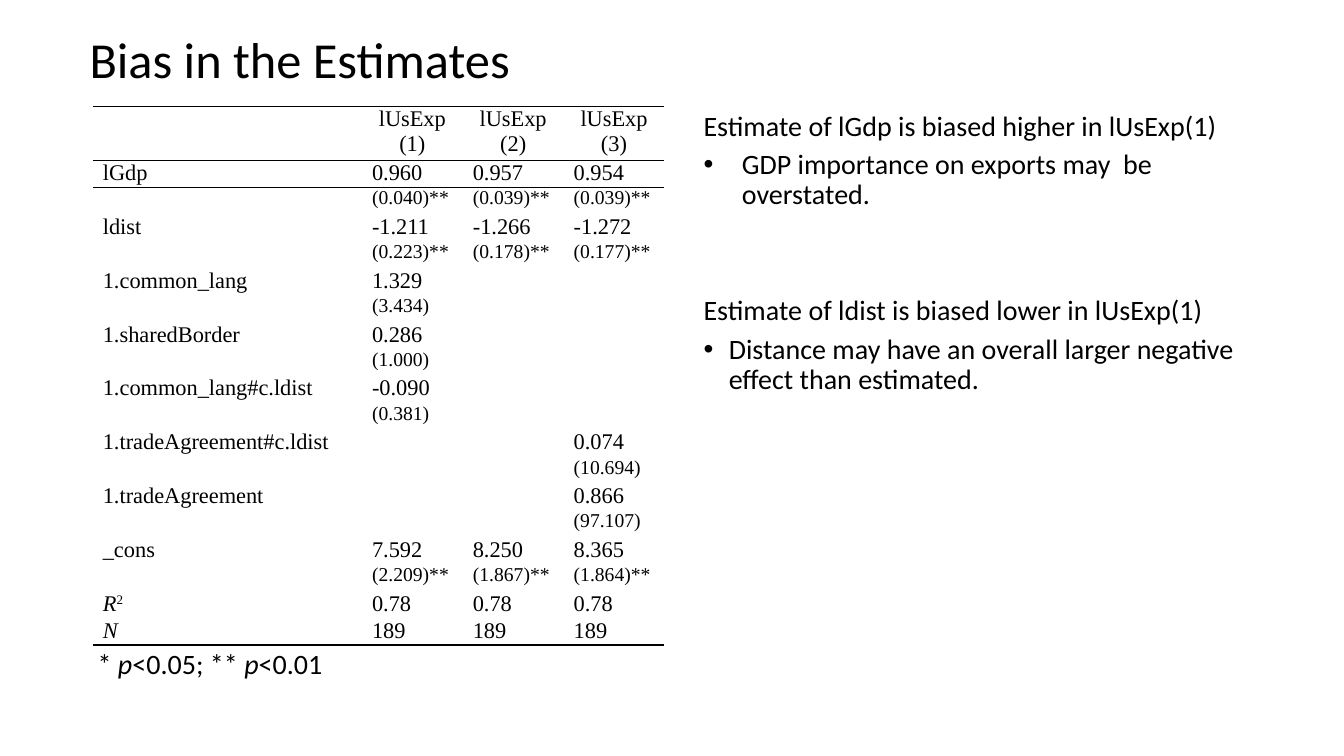
from lxml import etree
from pptx import Presentation
from pptx.dml.color import RGBColor
from pptx.enum import text as t
from pptx.oxml import ns
from pptx.util import Inches, Pt

BLACK = RGBColor(0, 0, 0)
BODY_FONT, TABLE_FONT = "Calibri", "Times New Roman"
NO_STYLE = "{2D5ABB26-0587-4C30-8999-92F81FD0307C}"
COLUMN_WIDTHS = [2.67, 1, 1, 1]
HEADER_HEIGHT, ROW_HEIGHT = 0.48, 0.24
ITALIC = {"italic": True}
BODY_FORMAT = {"line_spacing": 0.9, "space_after": Pt(6)}

# Each variable: name, then (estimate, standard error) for models 1 to 3
ESTIMATES = [
    ("lGdp", ("0.960", "(0.040)**"), ("0.957", "(0.039)**"), ("0.954", "(0.039)**")),
    ("ldist", ("-1.211", "(0.223)**"), ("-1.266", "(0.178)**"), ("-1.272", "(0.177)**")),
    ("1.common_lang", ("1.329", "(3.434)"), None, None),
    ("1.sharedBorder", ("0.286", "(1.000)"), None, None),
    ("1.common_lang#c.ldist", ("-0.090", "(0.381)"), None, None),
    ("1.tradeAgreement#c.ldist", None, None, ("0.074", "(10.694)")),
    ("1.tradeAgreement", None, None, ("0.866", "(97.107)")),
    ("_cons", ("7.592", "(2.209)**"), ("8.250", "(1.867)**"), ("8.365", "(1.864)**")),
]
# Each finding: heading, conclusion, bullet indent, space before the heading
FINDINGS = [
    ("Estimate of lGdp is biased higher in lUsExp(1)",
     "GDP importance on exports may  be overstated.", 0.38, 0),
    ("Estimate of ldist is biased lower in lUsExp(1)",
     "Distance may have an overall larger negative effect than estimated.", 0.25, 55),
]


def set_format(target, values):
    """Set each attribute in values on target."""
    for name, value in values.items():
        setattr(target, name, value)


def add_run(paragraph, content, font_name, size, **style):
    """Append one black run to a paragraph."""
    run = paragraph.add_run()
    run.text = content
    run.font.color.rgb = BLACK
    set_format(run.font, {"name": font_name, "size": Pt(size), **style})
    return run


def add_text_box(slide, box, **frame_format):
    """Add a wrapping text box and return its text frame."""
    frame = slide.shapes.add_textbox(*map(Inches, box)).text_frame
    set_format(frame, {"word_wrap": True, **frame_format})
    return frame


def add_title(slide, box):
    """Place the slide title, centred vertically in its box."""
    frame = add_text_box(slide, box, vertical_anchor=t.MSO_ANCHOR.MIDDLE)
    paragraph = frame.paragraphs[0]
    paragraph.line_spacing = 0.9
    add_run(paragraph, "Bias in the Estimates", BODY_FONT, 36)


def add_significance_note(slide, box):
    """Place the key to the significance stars."""
    paragraph = add_text_box(slide, box).paragraphs[0]
    set_format(paragraph, BODY_FORMAT)
    for content, style in (("* ", {}), ("p", ITALIC), ("<0.05; ** ", {}),
                           ("p", ITALIC), ("<0.01", {})):
        add_run(paragraph, content, BODY_FONT, 20, **style)


def add_bullet(paragraph, indent):
    """Give a paragraph a round bullet with a hanging indent."""
    properties = paragraph._p.get_or_add_pPr()
    properties.set("marL", str(Inches(indent)))
    properties.set("indent", str(-Inches(indent)))
    etree.SubElement(properties, ns.qn("a:buFont"), typeface="Arial")
    etree.SubElement(properties, ns.qn("a:buChar"), char="•")


def add_findings(slide, box):
    """List each finding as a heading with one bullet."""
    frame = add_text_box(slide, box)
    paragraph = frame.paragraphs[0]
    for heading, conclusion, indent, gap in FINDINGS:
        if gap:
            paragraph = frame.add_paragraph()
        set_format(paragraph, {**BODY_FORMAT, "space_before": Pt(gap)})
        add_run(paragraph, heading, BODY_FONT, 20)
        bullet = frame.add_paragraph()
        set_format(bullet, BODY_FORMAT)
        add_bullet(bullet, indent)
        add_run(bullet, conclusion, BODY_FONT, 20)


def table_rows():
    """Return the table's texts row by row, standard errors under estimates."""
    rows = [[""] + [f"lUsExp ({model})" for model in (1, 2, 3)]]
    for name, *models in ESTIMATES:
        pairs = [model or ("", "") for model in models]
        rows.append([name] + [estimate for estimate, _ in pairs])
        rows.append([""] + [error for _, error in pairs])
    return rows + [["R"] + ["0.78"] * 3, ["N"] + ["189"] * 3]


def add_border(cell, side):
    """Draw a 1 pt black line on the top (T) or bottom (B) of a cell."""
    line = etree.SubElement(cell._tc.get_or_add_tcPr(), ns.qn(f"a:ln{side}"), w=str(Pt(1)))
    fill = etree.SubElement(line, ns.qn("a:solidFill"))
    etree.SubElement(fill, ns.qn("a:srgbClr"), val=str(BLACK))


def fill_cell(cell, content, size, style):
    """Write one table cell; an empty cell keeps the 16 pt line height."""
    set_format(cell, {"margin_left": Inches(0.1), "margin_right": Inches(0.1),
                      "margin_top": 0, "margin_bottom": 0})
    paragraph = cell.text_frame.paragraphs[0]
    if content:
        add_run(paragraph, content, TABLE_FONT, size, **style)
    else:
        end = etree.SubElement(paragraph._p, ns.qn("a:endParaRPr"), sz="1600")
        etree.SubElement(end, ns.qn("a:latin"), typeface=TABLE_FONT)
    return paragraph


def add_regression_table(slide, box):
    """Build the regression table with rules around header and body."""
    rows = table_rows()
    last = len(rows) - 1
    frame = slide.shapes.add_table(len(rows), len(COLUMN_WIDTHS), *map(Inches, box))
    table = frame.table
    set_format(table, {"first_row": False, "horz_banding": False})
    table._tbl.tblPr[0].text = NO_STYLE
    for column, width in zip(table.columns, COLUMN_WIDTHS):
        column.width = Inches(width)
    for index, contents in enumerate(rows):
        table.rows[index].height = Inches(ROW_HEIGHT if index else HEADER_HEIGHT)
        for position, content in enumerate(contents):
            cell = table.cell(index, position)
            style = ITALIC if content in ("R", "N") else {}
            paragraph = fill_cell(cell, content, 14 if content.startswith("(") else 16, style)
            if index == 0:
                paragraph.alignment = t.PP_ALIGN.CENTER
            if content == "R":
                square = add_run(paragraph, "2", TABLE_FONT, 16)
                square.font._element.set("baseline", "30000")
            if index in (0, 1):
                add_border(cell, "T")
            if index in (0, last):
                add_border(cell, "B")
            cell.fill.background()


def build_slide(presentation):
    """Add the slide and place its four regions."""
    slide = presentation.slides.add_slide(presentation.slide_layouts[6])
    add_title(slide, (0.79, -0.11, 11.5, 1.45))
    add_significance_note(slide, (0.87, 6.4, 4.38, 0.48))
    add_regression_table(slide, (0.92, 1.06, sum(COLUMN_WIDTHS), 4.94))
    add_findings(slide, (6.88, 1.06, 5.67, 0.48))


presentation = Presentation()
set_format(presentation, {"slide_width": Inches(13.33), "slide_height": Inches(7.5)})
build_slide(presentation)
presentation.save("out.pptx")
